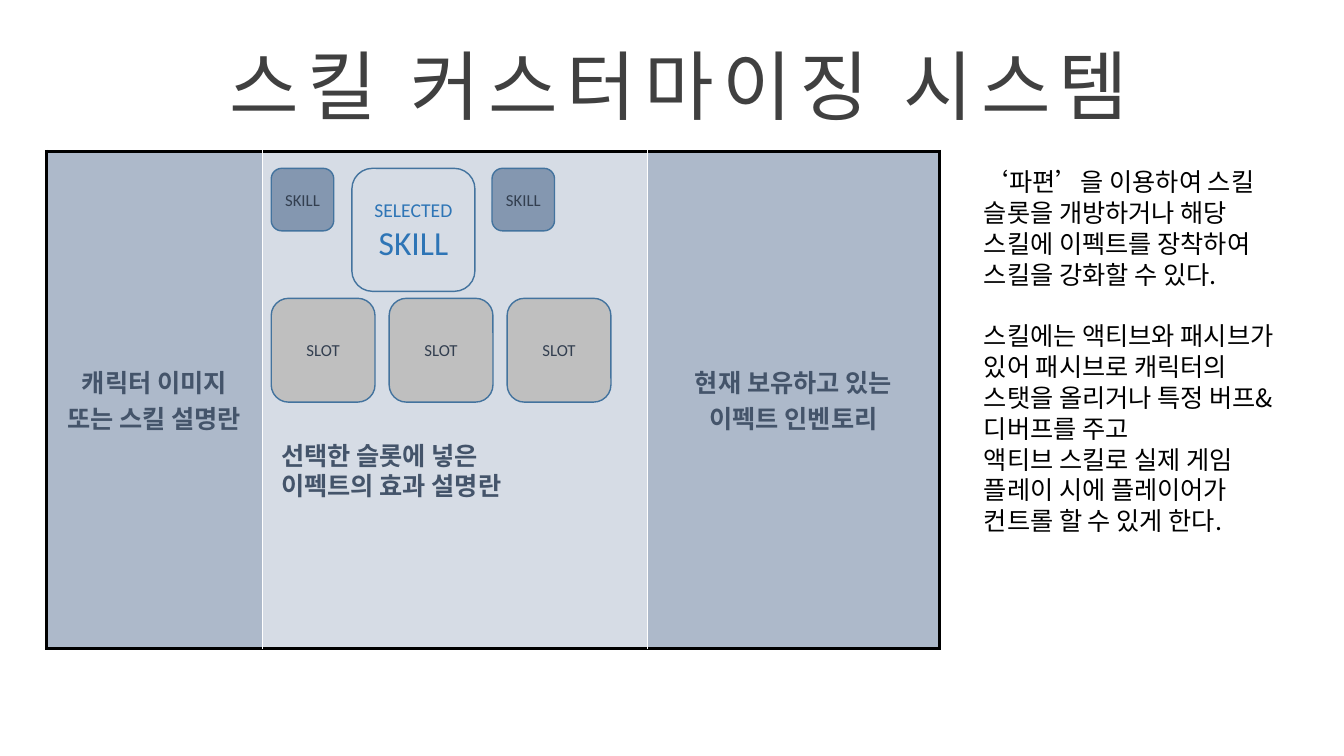
from pptx import Presentation
from pptx.dml.color import RGBColor
from pptx.enum.shapes import MSO_SHAPE as Preset
from pptx.enum.text import MSO_ANCHOR as Anchor, MSO_AUTO_SIZE as AutoSize, PP_ALIGN as Align
from pptx.oxml.ns import qn
from pptx.util import Inches, Pt
from lxml.etree import SubElement

BLACK = RGBColor(0x00, 0x00, 0x00)
WHITE = RGBColor(0xFF, 0xFF, 0xFF)
TITLE_GRAY = RGBColor(0x40, 0x40, 0x40)
SLATE = RGBColor(0x44, 0x54, 0x6A)
DARK_SLATE = RGBColor(0x33, 0x3F, 0x50)
BLUE = RGBColor(0x2E, 0x75, 0xB6)
OUTLINE = RGBColor(0x43, 0x73, 0x9E)
SIDE_PANEL = RGBColor(0xAD, 0xB9, 0xCA)
MIDDLE_PANEL = RGBColor(0xD6, 0xDC, 0xE5)
SKILL_FILL = RGBColor(0x84, 0x97, 0xB0)
SLOT_FILL = RGBColor(0xBF, 0xBF, 0xBF)

KOREAN = "Noto Sans CJK KR"
LATIN = "Calibri"


def write(frame, lines, sizes=(18,), font=KOREAN, color=SLATE, bold=False,
          align=Align.LEFT, pitch=None, gap_after=None, tracking=None):
    """Write one paragraph per line; gap_after maps a line index to points."""
    for i, line in enumerate(lines):
        para = frame.paragraphs[0] if i == 0 else frame.add_paragraph()
        para.alignment = align
        para.space_before = Pt(0)
        para.space_after = Pt((gap_after or {}).get(i, 0))
        if pitch:
            para.line_spacing = Pt(pitch)
        run = para.add_run()
        run.text = line
        run.font.size = Pt(sizes[min(i, len(sizes) - 1)])
        run.font.name = font
        run.font.bold = bold
        run.font.color.rgb = color
        props = run._r.get_or_add_rPr()
        SubElement(props, qn("a:ea")).set("typeface", KOREAN)
        if tracking:
            props.set("spc", str(tracking * 100))


def add_title(slide, text):
    title = slide.shapes.title
    title.left, title.top = Inches(1.62), Inches(0.32)
    title.width, title.height = Inches(10.24), Inches(1.01)
    frame = title.text_frame
    frame.auto_size = AutoSize.NONE
    frame.vertical_anchor = Anchor.TOP
    write(frame, [text], sizes=(54,), font="Arial", color=TITLE_GRAY,
          align=Align.CENTER, pitch=66, tracking=6)


def add_note(slide, left, top, width, height, lines, **text_format):
    frame = slide.shapes.add_textbox(
        Inches(left), Inches(top), Inches(width), Inches(height)).text_frame
    frame.word_wrap = True
    write(frame, lines, pitch=22, **text_format)


def add_tile(slide, left, top, side, fill, lines, **text_format):
    tile = slide.shapes.add_shape(
        Preset.ROUNDED_RECTANGLE, Inches(left), Inches(top), Inches(side), Inches(side))
    tile.shadow.inherit = False
    tile.fill.solid()
    tile.fill.fore_color.rgb = fill
    tile.line.color.rgb = OUTLINE
    tile.line.width = Pt(1)
    frame = tile.text_frame
    frame.margin_left = frame.margin_right = 0
    frame.vertical_anchor = Anchor.MIDDLE
    write(frame, lines, font=LATIN, align=Align.CENTER, **text_format)


def set_border(cell, edge, color, width):
    line = SubElement(cell._tc.get_or_add_tcPr(), qn(f"a:ln{edge}"), w=str(Pt(width)))
    fill = SubElement(line, qn("a:solidFill"))
    SubElement(fill, qn("a:srgbClr")).set("val", str(color))


def add_panels(slide):
    panels = [
        (2.14, SIDE_PANEL, ["캐릭터 이미지", "또는 스킬 설명란"]),
        (3.82, MIDDLE_PANEL, []),
        (2.9, SIDE_PANEL, ["현재 보유하고 있는", "이펙트 인벤토리"]),
    ]
    table = slide.shapes.add_table(
        1, len(panels), Inches(0.46), Inches(1.5), Inches(8.86), Inches(4.93)).table
    outer, inner = (BLACK, 2.25), (WHITE, 1)
    for i, (width, fill, lines) in enumerate(panels):
        table.columns[i].width = Inches(width)
        cell = table.cell(0, i)
        set_border(cell, "L", *(outer if i == 0 else inner))
        set_border(cell, "R", *(outer if i == len(panels) - 1 else inner))
        set_border(cell, "T", *outer)
        set_border(cell, "B", *outer)
        cell.fill.solid()
        cell.fill.fore_color.rgb = fill
        cell.vertical_anchor = Anchor.MIDDLE
        write(cell.text_frame, lines, bold=True, align=Align.CENTER)


def main():
    deck = Presentation()
    deck.slide_width, deck.slide_height = Inches(13.33), Inches(7.5)
    slide = deck.slides.add_slide(deck.slide_layouts[5])

    add_title(slide, "스킬 커스터마이징 시스템")
    add_panels(slide)

    # Skill selector: the chosen skill between its neighbours
    skill_top = 1.67
    for left in (2.69, 4.88):
        add_tile(slide, left, skill_top, 0.62, SKILL_FILL, ["SKILL"],
                 sizes=(12,), color=DARK_SLATE)
    add_tile(slide, 3.49, skill_top, 1.22, MIDDLE_PANEL, ["SELECTED", "SKILL"],
             sizes=(14, 24), color=BLUE)

    # Effect slots
    for i in range(3):
        add_tile(slide, 2.69 + 1.17 * i, 2.96, 1.03, SLOT_FILL, ["SLOT"],
                 sizes=(12,), color=DARK_SLATE)
    add_note(slide, 2.69, 4.31, 4.47, 0.71,
             ["선택한 슬롯에 넣은", "이펙트의 효과 설명란"], bold=True)

    # Explanation beside the panels
    add_note(slide, 9.66, 1.6, 3.14, 3.74, [
        "‘파편’을 이용하여 스킬 슬롯을 개방하거나 해당 스킬에 이펙트를 장착하여 스킬을 강화할 수 있다.",
        "스킬에는 액티브와 패시브가 있어 패시브로 캐릭터의 스탯을 올리거나 특정 버프&디버프를 주고",
        "액티브 스킬로 실제 게임 플레이 시에 플레이어가 컨트롤 할 수 있게 한다.",
    ], color=BLACK, gap_after={0: 22})

    deck.save("out.pptx")


main()
